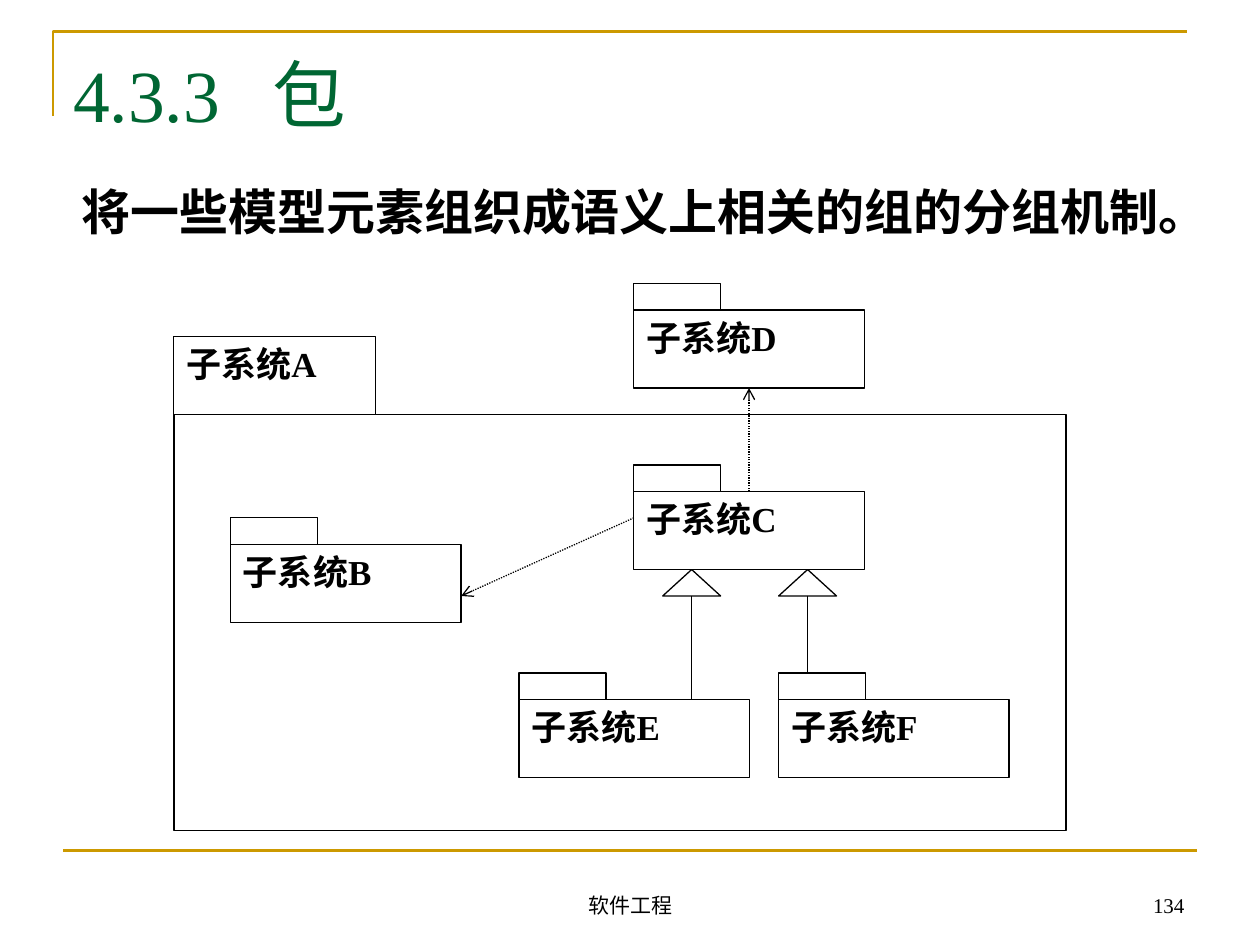
from lxml import etree
from pptx import Presentation, util as u
from pptx.dml.color import RGBColor
from pptx.enum import dml, shapes, text
from pptx.oxml.ns import qn

Inches = u.Inches
C = {"gold": "CC9900", "green": "006633", "black": "000000", "white": "FFFFFF"}
SERIF = "Times New Roman"
TAB_W, TAB_H, BODY_W, BODY_H = 0.69, 0.21, 1.83, 0.62

prs = Presentation()
prs.slide_width, prs.slide_height = Inches(10), Inches(7.5)
s = prs.slides.add_slide(prs.slide_layouts[5])


def add_text(sp, words, size, color="black", font=SERIF, bold=False,
             align=text.PP_ALIGN.LEFT, anchor=text.MSO_ANCHOR.TOP):
    tf = sp.text_frame
    tf.word_wrap = True
    tf.auto_size = text.MSO_AUTO_SIZE.NONE
    tf.vertical_anchor = anchor
    p = tf.paragraphs[0]
    p.alignment = align
    r = p.add_run()
    r.text = words
    r.font.size, r.font.bold, r.font.name = u.Pt(size), bold, font
    r.font.color.rgb = RGBColor.from_string(C[color])
    return p


def add_line(x1, y1, x2, y2, color="black", width=0.75, arrow=False):
    ln = s.shapes.add_connector(shapes.MSO_CONNECTOR.STRAIGHT,
                                Inches(x1), Inches(y1), Inches(x2), Inches(y2))
    ln.line.color.rgb = RGBColor.from_string(C[color])
    ln.line.width = u.Pt(width)
    if arrow:
        ln.line.dash_style = dml.MSO_LINE.ROUND_DOT
        etree.SubElement(ln.line._get_or_add_ln(), qn("a:tailEnd"), type="arrow")
    etree.SubElement(ln._element.spPr, qn("a:effectLst"))
    return ln


title = s.shapes.title
title.left, title.top = Inches(0.48), Inches(0.34)
title.width, title.height = Inches(8.52), Inches(1)
p = add_text(title, "4.3.3\t包", 42, "green")
tabs = etree.SubElement(p._p.get_or_add_pPr(), qn("a:tabLst"))
etree.SubElement(tabs, qn("a:tab"), pos=str(Inches(1.58)), algn="l")

fb = s.shapes.build_freeform(Inches(0.42), Inches(0.92))
fb.add_line_segments([(Inches(0.42), Inches(0.25)), (Inches(9.42), Inches(0.25))], close=False)
corner = fb.convert_to_shape()
corner.shadow.inherit = False
corner.fill.background()
corner.line.color.rgb = RGBColor.from_string(C["gold"])
corner.line.width = u.Pt(1.5)
add_line(0.5, 6.75, 9.5, 6.75, "gold", 1.5)

RECT, TRIANGLE = shapes.MSO_SHAPE.RECTANGLE, shapes.MSO_SHAPE.ISOSCELES_TRIANGLE
outlines = [(RECT, 1.38, 3.29, 7.08, 3.3, ""), (RECT, 1.38, 2.67, 1.6, BODY_H, "子系统A")]
for name, x, y in [("D", 5.03, 2.46), ("B", 1.83, 4.32), ("C", 5.03, 3.9),
                   ("E", 4.12, 5.55), ("F", 6.18, 5.55)]:
    outlines.append((RECT, x, y, BODY_W, BODY_H, "子系统" + name))
    outlines.append((RECT, x, y - TAB_H, TAB_W, TAB_H, ""))
for x in (5.26, 6.18):
    outlines.append((TRIANGLE, x, 4.52, 0.46, 0.21, ""))

packages = {}
for kind, x, y, w, h, label in outlines:
    sp = s.shapes.add_shape(kind, Inches(x), Inches(y), Inches(w), Inches(h))
    sp.shadow.inherit = False
    sp.fill.solid()
    sp.fill.fore_color.rgb = RGBColor.from_string(C["white"])
    sp.line.color.rgb = RGBColor.from_string(C["black"])
    sp.line.width = u.Pt(0.75)
    if label:
        add_text(sp, label, 20, bold=True, align=text.PP_ALIGN.JUSTIFY)
        packages[label[-1]] = sp

uses = add_line(5.95, 3.9, 5.95, 3.08, arrow=True)
uses.begin_connect(packages["C"], 0)
uses.end_connect(packages["D"], 2)
add_line(5.03, 4.11, 3.66, 4.73, arrow=True)
add_line(5.49, 4.73, 5.49, 5.55)
add_line(6.41, 4.73, 6.41, 5.35)

LEFT, CENTER, RIGHT = text.PP_ALIGN.LEFT, text.PP_ALIGN.CENTER, text.PP_ALIGN.RIGHT
TOP, BOTTOM = text.MSO_ANCHOR.TOP, text.MSO_ANCHOR.BOTTOM
for x, y, w, h, words, size, font, bold, align, anchor in [
    (0.55, 1.39, 8.94, 0.57, "将一些模型元素组织成语义上相关的组的分组机制。",
     28, "Roboto", True, LEFT, TOP),
    (3.42, 6.83, 3.17, 0.5, "软件工程", 12, SERIF, False, CENTER, BOTTOM),
    (7.17, 6.83, 2.33, 0.5, "134", 12, SERIF, False, RIGHT, BOTTOM),
]:
    box = s.shapes.add_textbox(Inches(x), Inches(y), Inches(w), Inches(h))
    add_text(box, words, size, font=font, bold=bold, align=align, anchor=anchor)

prs.save("out.pptx")
